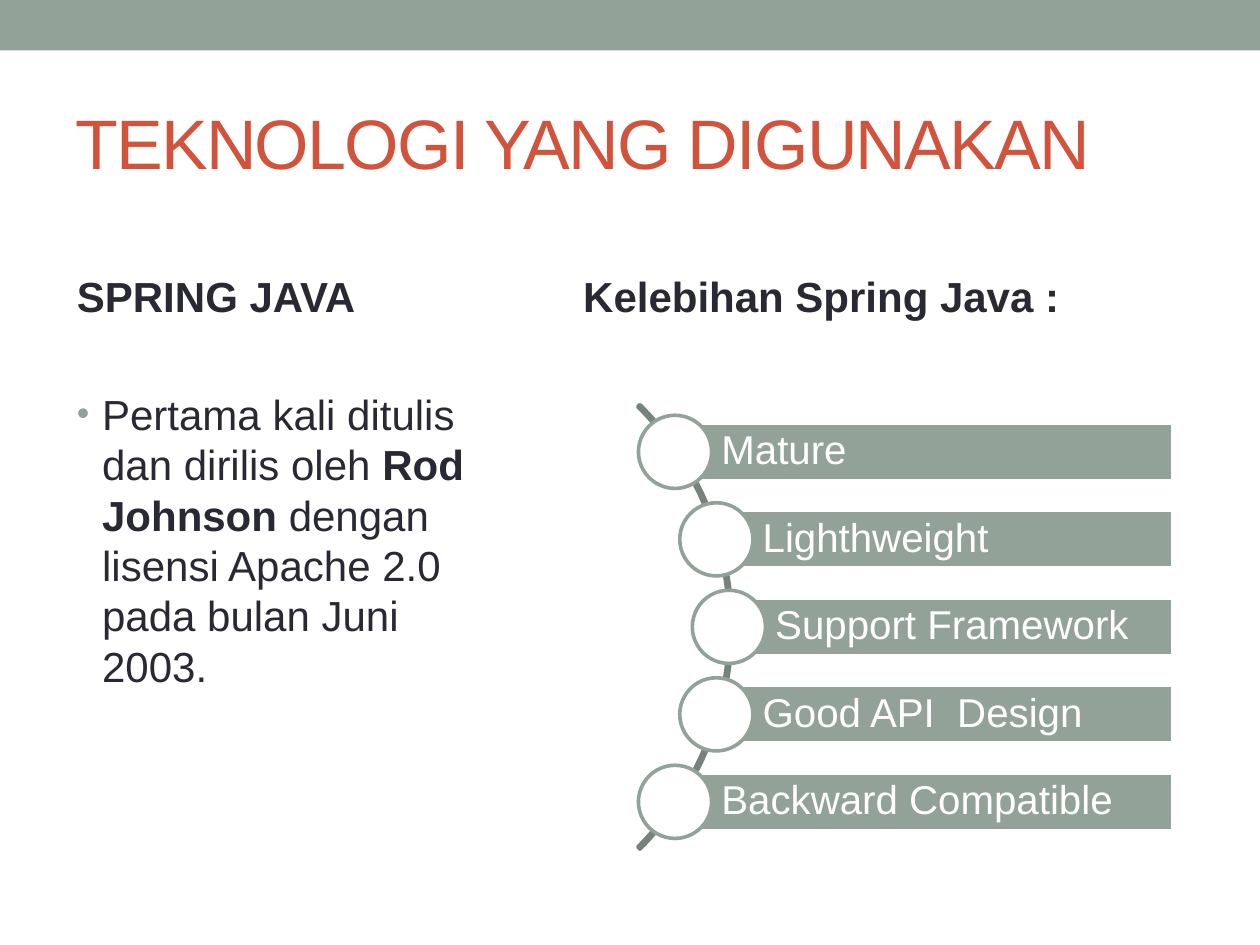
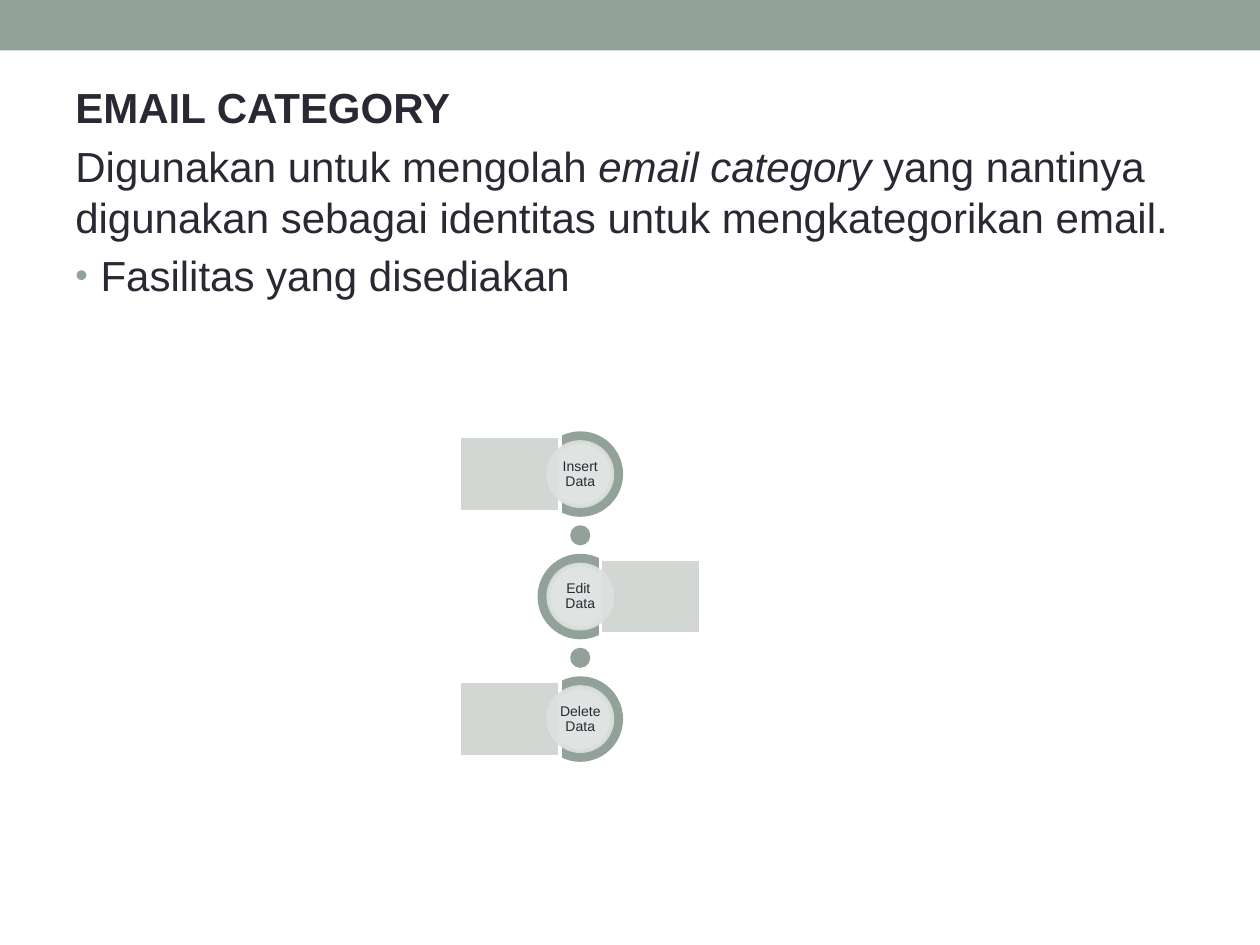
from math import sqrt

from lxml import etree
from pptx import Presentation
from pptx.dml.color import RGBColor
from pptx.enum.shapes import MSO_SHAPE
from pptx.enum.text import MSO_ANCHOR, PP_ALIGN
from pptx.oxml.ns import qn
from pptx.util import Pt

RECT, CIRCLE = MSO_SHAPE.RECTANGLE, MSO_SHAPE.OVAL
DONUT, BLOCK_ARC = MSO_SHAPE.DONUT, MSO_SHAPE.BLOCK_ARC
DOT = MSO_SHAPE.FLOWCHART_CONNECTOR
TOP, MIDDLE = MSO_ANCHOR.TOP, MSO_ANCHOR.MIDDLE
LEFT, CENTER = PP_ALIGN.LEFT, PP_ALIGN.CENTER

WIDTH, HEIGHT = 720, 540
FONT = "Arial"
SAGE, DARK_SAGE, PALE_SAGE, MIST = "93A299", "76827B", "D2D7D4", "DCE0DE"
INK, RUST, WHITE = "292934", "D2533C", "FFFFFF"
OUTLINE = 2.08
BODY_SIZE = 24
BODY_GAP = 0.2 * BODY_SIZE
SKIPPED_LINE = 1.2 * BODY_SIZE + BODY_GAP
BULLET_INDENT = 14.4


def rgb(color):
    return RGBColor.from_string(color)


def set_opacity(color_format_fill, percent):
    """Make a solid fill, or the fill of a line, partly transparent."""
    for color in color_format_fill.iter(qn("a:srgbClr")):
        etree.SubElement(color, qn("a:alpha"), val=str(percent * 1000))


class Deck:
    """Holds the presentation, its shared style and the current slide."""

    def __init__(self):
        self.presentation = Presentation()
        self.presentation.slide_width = Pt(WIDTH)
        self.presentation.slide_height = Pt(HEIGHT)
        self.slide = None

    def new_slide(self):
        blank = self.presentation.slide_layouts[6]
        self.slide = self.presentation.slides.add_slide(blank)
        self.shape(RECT, 0, 0, WIDTH, 28.8, fill=SAGE)

    def shape(self, preset, left, top, width, height, fill=None, line=None,
              adjustments=(), opacity=None):
        shape = self.slide.shapes.add_shape(
            preset, Pt(left), Pt(top), Pt(width), Pt(height))
        shape.shadow.inherit = False
        for index, value in enumerate(adjustments):
            shape.adjustments[index] = value
        if fill:
            shape.fill.solid()
            shape.fill.fore_color.rgb = rgb(fill)
        else:
            shape.fill.background()
        if line:
            shape.line.color.rgb = rgb(line)
            shape.line.width = Pt(OUTLINE)
        else:
            shape.line.fill.background()
        if opacity:
            set_opacity(shape.element.spPr, opacity)
        return shape

    def centered(self, preset, x, y, width, height, **style):
        """Add a shape by its centre point."""
        return self.shape(preset, x - width / 2, y - height / 2,
                          width, height, **style)

    def frame(self, shape, anchor, insets):
        frame = shape.text_frame
        frame.word_wrap = True
        frame.vertical_anchor = anchor
        (frame.margin_left, frame.margin_top,
         frame.margin_right, frame.margin_bottom) = map(Pt, insets)
        return frame

    def style(self, paragraph, size, color, align=LEFT):
        paragraph.alignment = align
        paragraph.font.name = FONT
        paragraph.font.size = Pt(size)
        paragraph.font.color.rgb = rgb(color)

    def label(self, shape, text, size, color, align=LEFT, insets=(0, 0, 0, 0)):
        paragraph = self.frame(shape, MIDDLE, insets).paragraphs[0]
        paragraph.text = text
        paragraph.line_spacing = 0.9
        self.style(paragraph, size, color, align)

    def text_box(self, left, top, width, height, anchor=TOP):
        box = self.slide.shapes.add_textbox(
            Pt(left), Pt(top), Pt(width), Pt(height))
        return self.frame(box, anchor, (7.2, 3.6, 7.2, 3.6))

    def title(self, text):
        paragraph = self.text_box(36, 41.8, 648, 77.8, MIDDLE).paragraphs[0]
        self.style(paragraph, 40, RUST)
        run = paragraph.add_run()
        run.text = text
        run._r.get_or_add_rPr().set("spc", "-100")

    def body(self, left, top, width, height, *paragraphs):
        """Each paragraph is a dict: runs as (text, style letters), bullet, before."""
        frame = self.text_box(left, top, width, height)
        for index, content in enumerate(paragraphs):
            paragraph = frame.add_paragraph() if index else frame.paragraphs[0]
            paragraph.space_before = Pt(content.get("before", BODY_GAP))
            if content.get("bullet"):
                self.bullet(paragraph)
            self.style(paragraph, BODY_SIZE, INK)
            for text, letters in content["runs"]:
                run = paragraph.add_run()
                run.text = text
                if "b" in letters:
                    run.font.bold = True
                if "i" in letters:
                    run.font.italic = True

    def bullet(self, paragraph):
        properties = paragraph._p.get_or_add_pPr()
        properties.set("marL", str(Pt(BULLET_INDENT)))
        properties.set("indent", str(-Pt(BULLET_INDENT)))
        color = etree.SubElement(properties, qn("a:buClr"))
        etree.SubElement(color, qn("a:srgbClr"), val=SAGE)
        etree.SubElement(properties, qn("a:buSzPct"), val="85000")
        etree.SubElement(properties, qn("a:buFont"), typeface=FONT)
        etree.SubElement(properties, qn("a:buChar"), char="•")


def spring_advantages(deck):
    """Bars whose circles follow a curve."""
    arc_x, arc_y, arc_size = 238.7, 358.2, 359.3
    curve_radius, row_pitch = 177.8, 50
    bars_right, bar_height, circle_size = 670, 33, 41.8
    advantages = ["Mature", "Lighthweight", "Support Framework",
                  "Good API  Design", "Backward Compatible"]

    deck.centered(BLOCK_ARC, arc_x, arc_y, arc_size, arc_size,
                  line=DARK_SAGE, adjustments=(189, 27, 0.005))
    for row, advantage in enumerate(advantages):
        offset = (row - (len(advantages) - 1) / 2) * row_pitch
        x, y = arc_x + sqrt(curve_radius ** 2 - offset ** 2), arc_y + offset
        bar = deck.shape(RECT, x, y - bar_height / 2, bars_right - x,
                         bar_height, fill=SAGE, line=WHITE)
        deck.label(bar, advantage, 23, WHITE, insets=(26.5, 4.3, 4.3, 4.3))
        deck.centered(CIRCLE, x, y, circle_size, circle_size,
                      fill=WHITE, line=SAGE)


def category_facilities(deck):
    """Rings in a column, with cards on alternating sides and dots between."""
    x, first_y, pitch = 331.6, 270.9, 70
    facilities = ["Insert Data", "Edit  Data", "Delete Data"]

    for row, facility in enumerate(facilities):
        y = first_y + row * pitch
        side = 1 if row % 2 else -1
        if row:
            deck.centered(DOT, x, y - pitch / 2, 9.4, 9.4, fill=SAGE, line=SAGE)
        deck.centered(DONUT, x, y, 46.8, 46.8, fill=SAGE, line=SAGE,
                      adjustments=(0.11,))
        deck.centered(RECT, x + side * 40.3, y, 57.4, 43.2,
                      fill=PALE_SAGE, line=WHITE)
        disc = deck.centered(CIRCLE, x, y, 36.7, 36.7, fill=MIST, line=MIST,
                             opacity=90)
        deck.label(disc, facility, 8, INK, CENTER)


def technology_slide(deck):
    deck.new_slide()
    deck.title("TEKNOLOGI YANG DIGUNAKAN")
    deck.body(36.9, 151.2, 261.4, 325.4,
              {"runs": [("SPRING JAVA", "b")]},
              {"runs": [("Pertama kali ditulis dan dirilis oleh ", ""),
                        ("Rod Johnson", "b"),
                        (" dengan lisensi Apache 2.0 pada bulan Juni 2003.", "")],
               "bullet": True, "before": SKIPPED_LINE + BODY_GAP})
    spring_advantages(deck)
    deck.body(326.2, 151.2, 329, 36, {"runs": [("Kelebihan Spring Java :", "b")]})


def email_category_slide(deck):
    deck.new_slide()
    deck.body(36, 43.2, 648, 466.6,
              {"runs": [("EMAIL CATEGORY", "b")]},
              {"runs": [("Digunakan untuk mengolah ", ""),
                        ("email category ", "i"),
                        ("yang nantinya digunakan sebagai identitas untuk "
                         "mengkategorikan email.", "")]},
              {"runs": [("Fasilitas yang disediakan", "")], "bullet": True})
    category_facilities(deck)


def main():
    deck = Deck()
    technology_slide(deck)
    email_category_slide(deck)
    deck.presentation.save("out.pptx")


if __name__ == "__main__":
    main()
